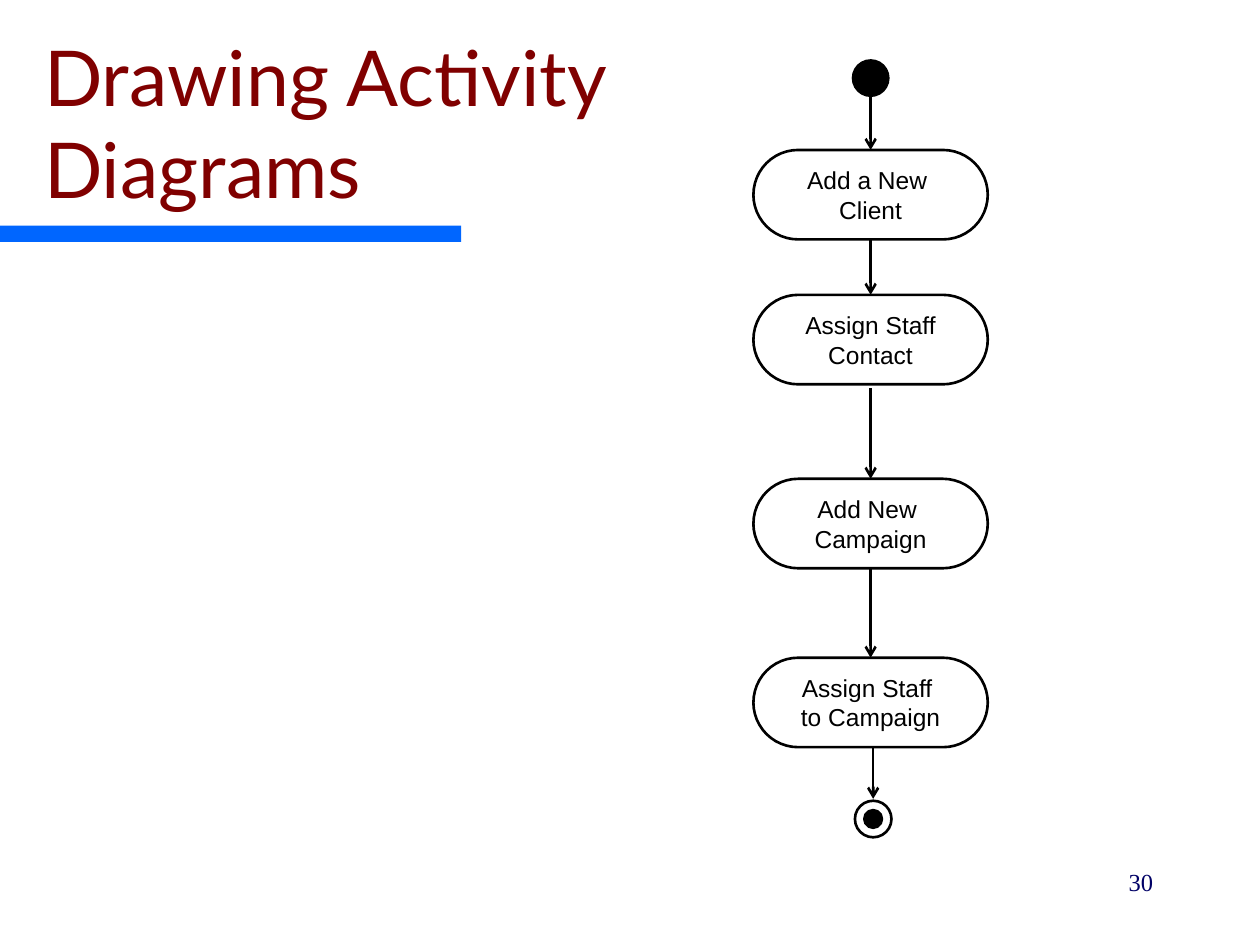
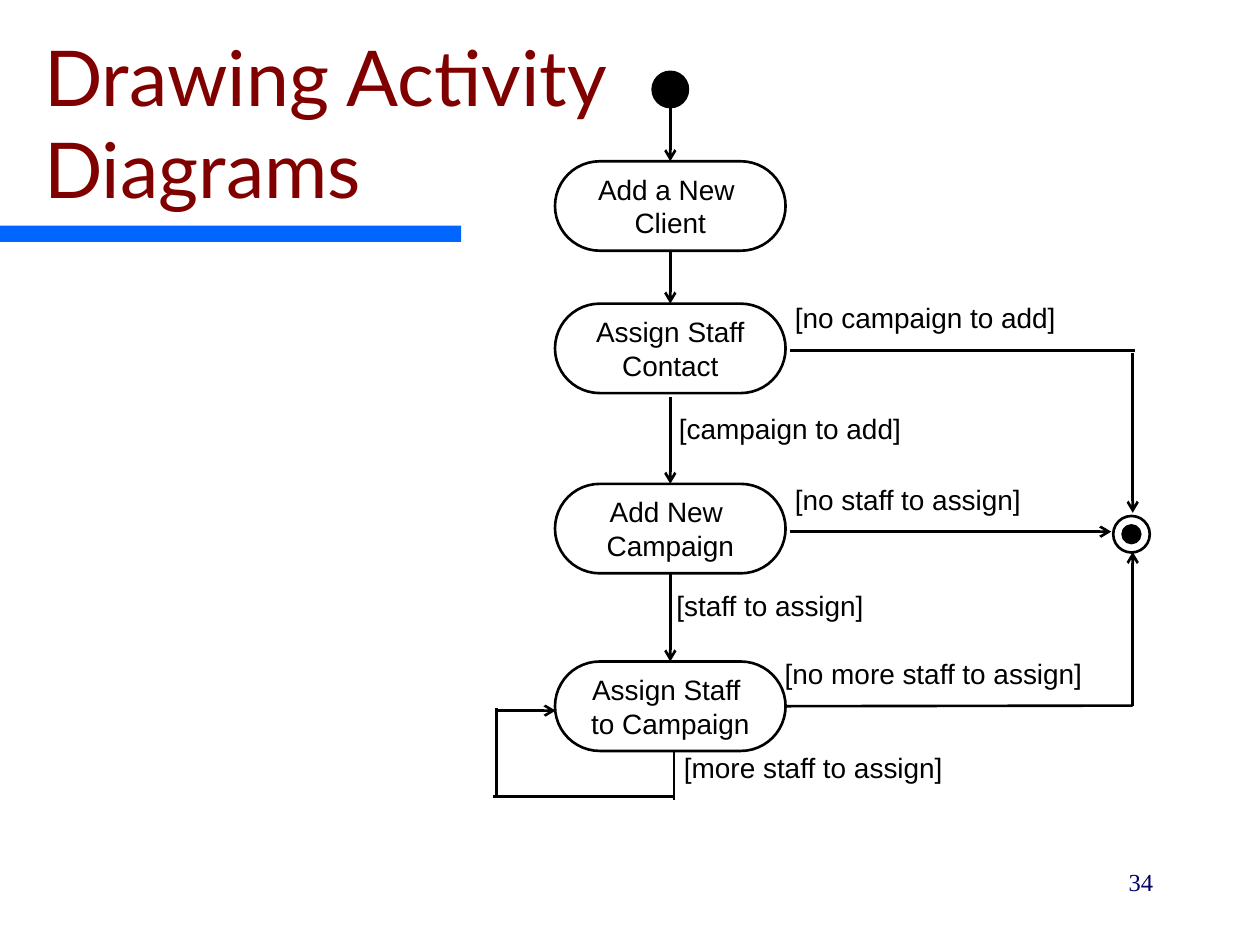
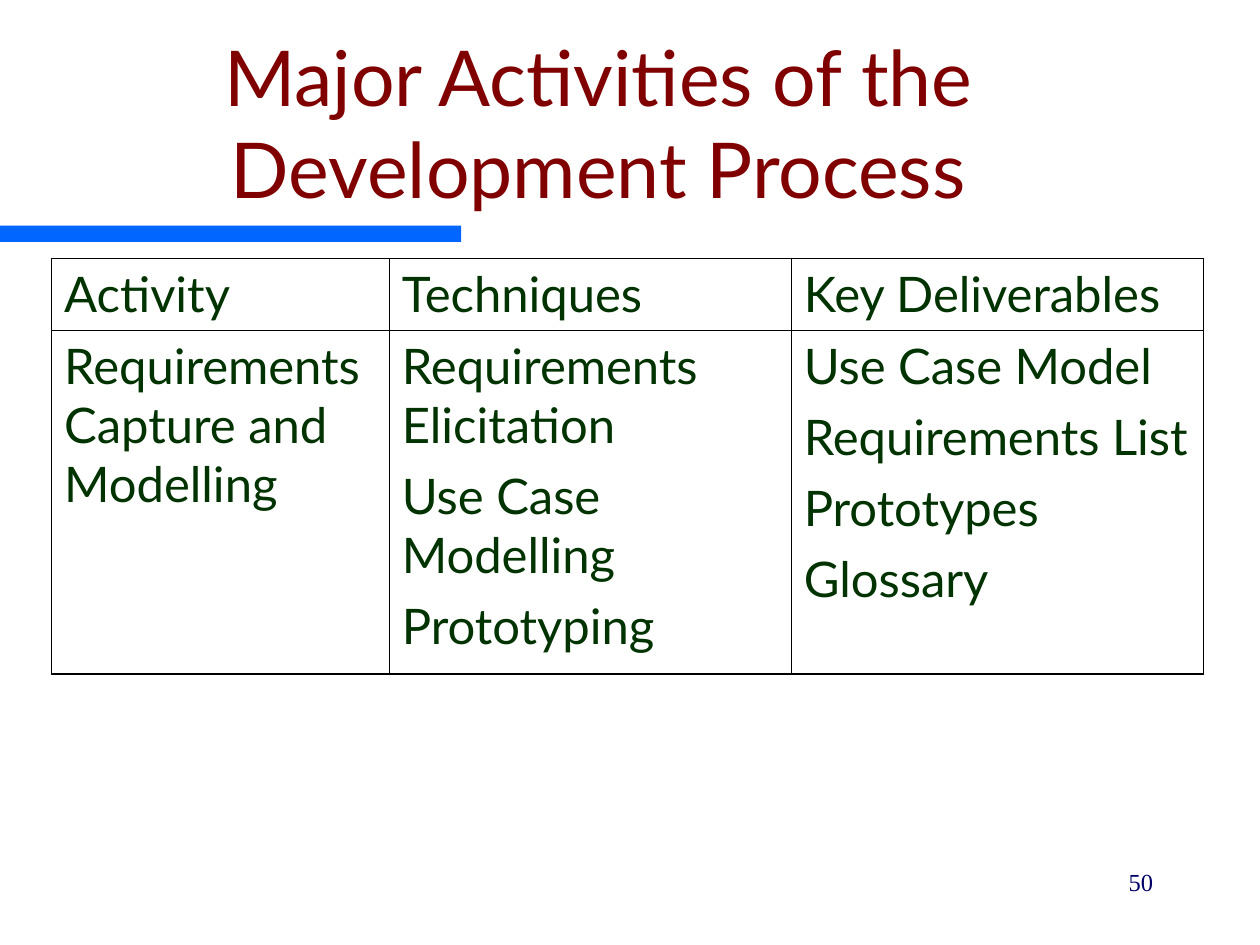
from itertools import pairwise

from lxml import etree
from pptx import Presentation
from pptx import util as u
from pptx.dml.color import RGBColor
from pptx.enum import shapes, text
from pptx.oxml.ns import qn

COLORS = {"title": "800000", "band": "0066FF", "ink": "000000",
          "paper": "FFFFFF", "number": "000066", "table": "003300"}
STYLES = {
    "title": {"name": "Lato", "size": 44, "color": "title"},
    "number": {"name": "Times New Roman", "size": 14, "color": "number"},
    "table": {"name": "Lato", "size": 28, "color": "table"},
    "small": {"name": "Arial", "size": 14, "color": "ink"},
    "large": {"name": "Arial", "size": 16, "color": "ink"},
}
CENTER, RIGHT = text.PP_ALIGN.CENTER, text.PP_ALIGN.RIGHT
TOP_SIDE, BOTTOM_SIDE, RIGHT_SIDE = 0, 2, 3
START_SIZE, RING_SIZE, CORE_SIZE = 0.28, 0.29, 0.14
NODE_HEIGHT = 0.71
EXIT_GAP = 0.03  # the arrow out of the second activity starts just below it

# Content: "\v" breaks a line, "\n" starts a paragraph
ACTIVITY_TITLE = "Drawing Activity \vDiagrams"
ACTIVITIES = ["Add a New \vClient", "Assign Staff\vContact",
              "Add New \nCampaign", "Assign Staff \nto Campaign"]

SIMPLE_FLOW = {
    "style": "small", "axis": 6.91, "width": 1.86, "start": 0.48,
    "tops": [1.19, 2.34, 3.8, 5.22], "finish": (6.93, 6.5),
    "links": [((6.93, 5.94), (6.93, 6.34), True)],
    "labels": [],
}
LOOP_X, LOOP_Y, EXIT_X = 3.94, 6.32, 8.99
BRANCHED_FLOW = {
    "style": "large", "axis": 5.32, "width": 1.83, "start": 0.57,
    "tops": [1.28, 2.41, 3.84, 5.25], "finish": (8.98, 4.24),
    # from, to, arrowhead
    "links": [
        ((6.27, 2.78), (9.01, 2.78), False),
        ((EXIT_X, 2.8), (EXIT_X, 4.07), True),
        ((6.27, 4.22), (8.82, 4.22), True),
        ((EXIT_X, 5.6), (EXIT_X, 4.38), True),
        ((5.35, 5.95), (5.35, 6.35), False),
        ((5.35, LOOP_Y), (3.91, LOOP_Y), False),
        ((LOOP_X, LOOP_Y), (LOOP_X, 5.62), False),
        ((LOOP_X, 5.64), (4.41, 5.64), True),
    ],
    "last_exit": (EXIT_X, 5.6),
    # text, left, top, width
    "labels": [
        ("[no campaign to add]", 6.21, 2.34, 2.56),
        ("[campaign to add]", 5.29, 3.22, 2.25),
        ("[no staff to assign]", 6.21, 3.78, 2.56),
        ("[staff to assign]", 5.27, 4.62, 2.23),
        ("[no more staff to assign]", 6.13, 5.16, 2.84),
        ("[more staff to assign]", 5.33, 5.91, 3.12),
    ],
}

TABLE_TITLE = "Major Activities of the Development Process"
TABLE_ROWS = [
    ["Activity", "Techniques", "Key Deliverables"],
    ["Requirements Capture and Modelling",
     "Requirements Elicitation\nUse Case Modelling\nPrototyping",
     "Use Case Model\nRequirements List\nPrototypes\nGlossary"],
]
COLUMN_WIDTHS, ROW_HEIGHTS = [2.68, 3.19, 3.27], [0.57, 2.73]


def rgb(name):
    return RGBColor.from_string(COLORS[name])


def inches(*lengths):
    return [u.Inches(length) for length in lengths]


def write(frame, words, style, **layout):
    """Fill a text frame; layout holds paragraph settings."""
    frame.text = words
    look = STYLES[style]
    for para in frame.paragraphs:
        for name, value in layout.items():
            setattr(para, name, value)
        for span in para.runs:
            span.font.name = look["name"]
            span.font.size = u.Pt(look["size"])
            span.font.color.rgb = rgb(look["color"])


def add_text(page, place, words, style, **layout):
    frame = page.shapes.add_textbox(*inches(*place)).text_frame
    frame.word_wrap = True
    write(frame, words, style, **layout)


def add_box(page, kind, place, fill, line="ink"):
    box = page.shapes.add_shape(kind, *inches(*place))
    box.shadow.inherit = False
    box.fill.solid()
    box.fill.fore_color.rgb = rgb(fill)
    if line:
        box.line.color.rgb = rgb(line)
        box.line.width = u.Pt(1.5)
    else:
        box.line.fill.background()
    return box


def add_dot(page, x, y, size, fill):
    place = (x - size / 2, y - size / 2, size, size)
    return add_box(page, shapes.MSO_SHAPE.OVAL, place, fill)


def add_link(page, start, end, arrow=True):
    link = page.shapes.add_connector(
        shapes.MSO_CONNECTOR.STRAIGHT, *inches(*start, *end))
    link.line.color.rgb = rgb("ink")
    link.line.width = u.Pt(1.5)
    if arrow:
        outline = link.line._get_or_add_ln()
        etree.SubElement(outline, qn("a:tailEnd"), type="arrow")
    etree.SubElement(link._element.spPr, qn("a:effectLst"))
    return link


def prepare_layout(deck):
    """Place the shared title and blue band on the title-only layout."""
    layout = deck.slide_layouts[5]
    title = layout.placeholders[0]
    title.left, title.top, title.width, title.height = inches(0.25, 0.5, 9, 1.25)
    return layout


def add_page(deck, layout, title, number, align=text.PP_ALIGN.LEFT):
    page = deck.slides.add_slide(layout)
    add_box(page, shapes.MSO_SHAPE.RECTANGLE, (0, 1.79, 3.66, 0.13), "band", None)
    frame = page.shapes.title.text_frame
    frame.auto_size = text.MSO_AUTO_SIZE.NONE
    frame.vertical_anchor = text.MSO_ANCHOR.BOTTOM
    write(frame, title, "title", alignment=align)
    add_text(page, (7.17, 6.83, 2.08, 0.5), str(number), "number",
             alignment=RIGHT, space_before=u.Pt(8.8))
    return page


def draw_flow(page, flow):
    axis, width, style = flow["axis"], flow["width"], flow["style"]

    # Activities
    nodes = []
    for words, top in zip(ACTIVITIES, flow["tops"]):
        node = add_box(page, shapes.MSO_SHAPE.ROUNDED_RECTANGLE,
                       (axis - width / 2, top, width, NODE_HEIGHT), "paper")
        node.adjustments[0] = 0.5
        node.text_frame.word_wrap = False
        node.text_frame.vertical_anchor = text.MSO_ANCHOR.MIDDLE
        write(node.text_frame, words, style, alignment=CENTER)
        nodes.append(node)

    # Start and finish
    add_dot(page, axis, flow["start"] + START_SIZE / 2, START_SIZE, "ink")
    add_dot(page, *flow["finish"], RING_SIZE, "paper")
    add_dot(page, *flow["finish"], CORE_SIZE, "ink")

    # Main path
    entry = add_link(page, (axis, flow["start"] + START_SIZE), (axis, flow["tops"][0]))
    entry.end_connect(nodes[0], TOP_SIDE)
    for index, (upper, lower) in enumerate(pairwise(nodes)):
        bottom = flow["tops"][index] + NODE_HEIGHT
        gap = EXIT_GAP if index == 1 else 0
        link = add_link(page, (axis, bottom + gap), (axis, flow["tops"][index + 1]))
        if not gap:
            link.begin_connect(upper, BOTTOM_SIDE)
        link.end_connect(lower, TOP_SIDE)

    # Branches and guards
    for start, end, arrow in flow["links"]:
        add_link(page, start, end, arrow)
    if "last_exit" in flow:
        end = flow["last_exit"]
        link = add_link(page, (axis + width / 2, end[1]), end, False)
        link.begin_connect(nodes[-1], RIGHT_SIDE)
    for words, left, top, label_width in flow["labels"]:
        add_text(page, (left, top, label_width, 0.37), words, style)


def add_border(cell, side, points):
    line = etree.SubElement(cell._tc.get_or_add_tcPr(), qn(f"a:ln{side}"),
                            w=str(int(u.Pt(points))))
    fill = etree.SubElement(line, qn("a:solidFill"))
    etree.SubElement(fill, qn("a:srgbClr"), val=COLORS["ink"])


def draw_table(page):
    last_row, last_column = len(ROW_HEIGHTS) - 1, len(COLUMN_WIDTHS) - 1
    place = inches(0.41, 2.05, sum(COLUMN_WIDTHS), sum(ROW_HEIGHTS))
    table = page.shapes.add_table(last_row + 1, last_column + 1, *place).table
    table.first_row = table.horz_banding = False
    for column, width in zip(table.columns, COLUMN_WIDTHS):
        column.width = u.Inches(width)
    for row, height in zip(table.rows, ROW_HEIGHTS):
        row.height = u.Inches(height)
    for r, row in enumerate(TABLE_ROWS):
        for c, words in enumerate(row):
            cell = table.cell(r, c)
            write(cell.text_frame, words, "table", space_before=u.Pt(7))
            outer = {"L": c == 0, "R": c == last_column,
                     "T": r == 0, "B": r == last_row}
            for side, is_outer in outer.items():
                add_border(cell, side, 0.75 if is_outer else 0.45)
            cell.fill.background()


def main():
    deck = Presentation()
    deck.slide_width, deck.slide_height = inches(10, 7.5)
    layout = prepare_layout(deck)
    for number, flow in ((30, SIMPLE_FLOW), (34, BRANCHED_FLOW)):
        draw_flow(add_page(deck, layout, ACTIVITY_TITLE, number), flow)
    draw_table(add_page(deck, layout, TABLE_TITLE, 50, CENTER))
    deck.save("out.pptx")


if __name__ == "__main__":
    main()
